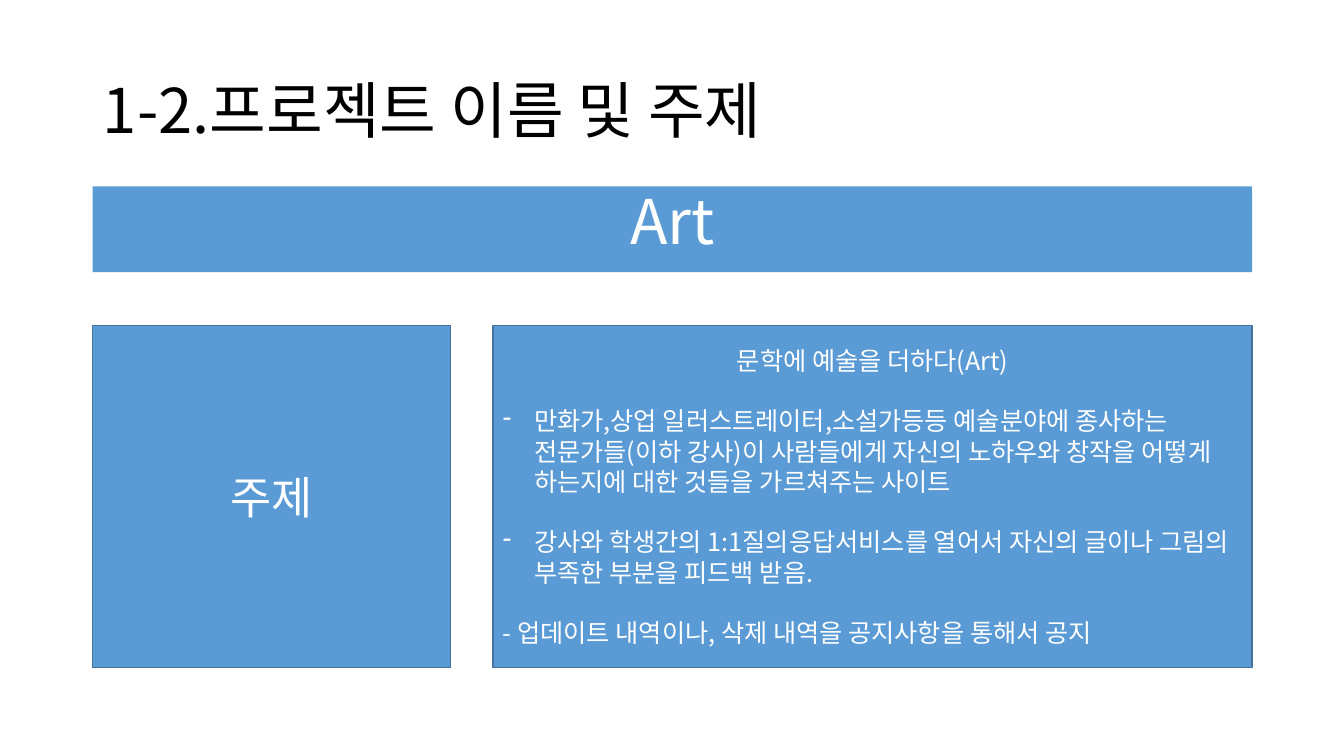
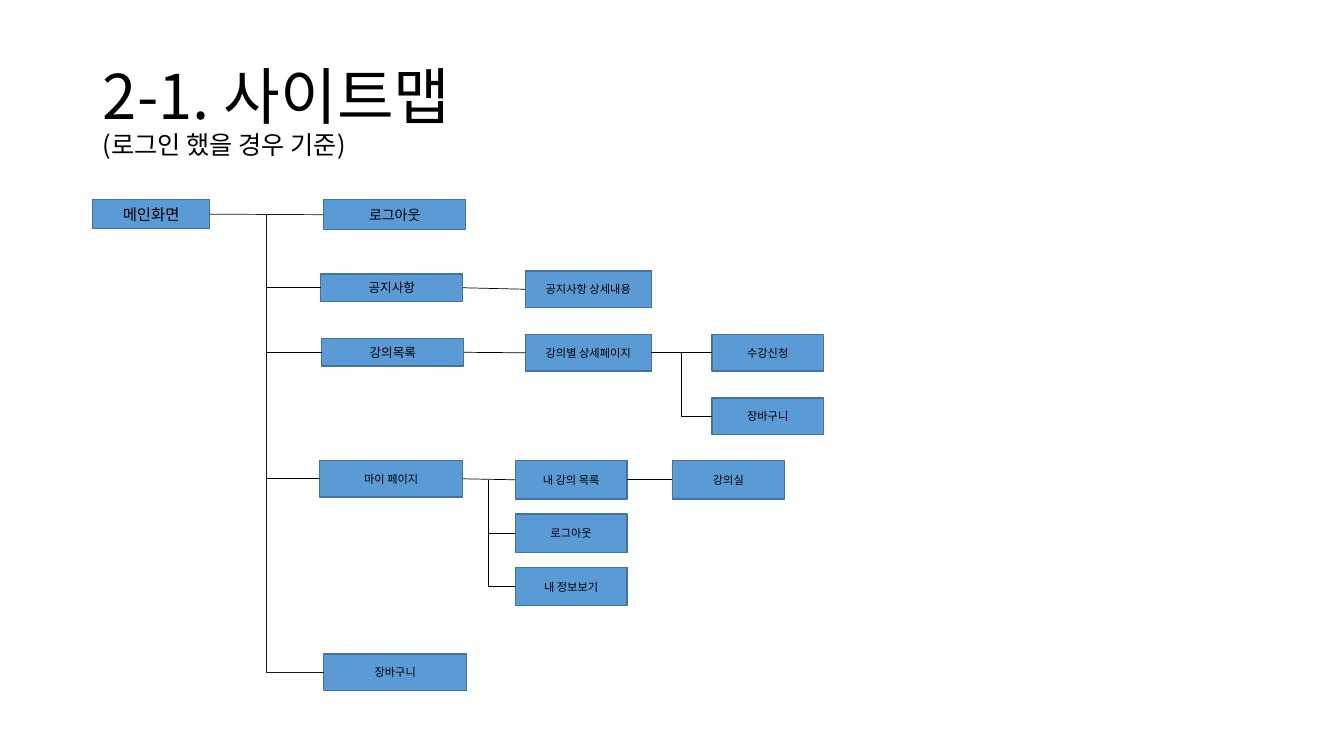
from dataclasses import dataclass

import pptx
import pptx.dml.color
import pptx.enum.shapes
import pptx.enum.text
import pptx.oxml.ns
import pptx.util
from lxml import etree

Inches = pptx.util.Inches
Pt = pptx.util.Pt
RGBColor = pptx.dml.color.RGBColor
ALIGN = pptx.enum.text.PP_ALIGN
ANCHOR = pptx.enum.text.MSO_ANCHOR
SHAPE = pptx.enum.shapes.MSO_SHAPE
CONNECTOR = pptx.enum.shapes.MSO_CONNECTOR
qn = pptx.oxml.ns.qn

FONT = "Noto Sans CJK KR"
BLUE = RGBColor(0x5B, 0x9B, 0xD5)
BLUE_EDGE = RGBColor(0x43, 0x73, 0x9E)
WHITE = RGBColor(0xFF, 0xFF, 0xFF)
BLACK = RGBColor(0, 0, 0)
INK = RGBColor(0x18, 0x17, 0x17)

MARGIN = 0.92
CONTENT_WIDTH = 11.5
LEFT_SITE, RIGHT_SITE = 1, 3


@dataclass(frozen=True)
class Box:
    text: str
    left: float
    top: float
    width: float
    height: float
    size: float = 8

    @property
    def middle(self) -> float:
        return self.top + self.height / 2


@dataclass(frozen=True)
class Link:
    start: str
    end: str
    color: RGBColor = BLACK


@dataclass(frozen=True)
class Trunk:
    """A vertical line at x, from the level of the first child to the last."""
    x: float
    children: tuple[str, ...]
    color: RGBColor = BLACK


def add_text(p, text: str, *, size: float, color: RGBColor = BLACK,
             align=ALIGN.LEFT, line_spacing: float | None = None,
             before: float = 0) -> None:
    p.alignment = align
    p.space_before = Pt(before)
    if line_spacing:
        p.line_spacing = line_spacing
    r = p.add_run()
    r.text = text
    r.font.size = Pt(size)
    r.font.color.rgb = color
    r.font.name = FONT
    etree.SubElement(r._r.get_or_add_rPr(), qn("a:ea"), typeface=FONT)


def add_dash(p, indent: float) -> None:
    """Give the paragraph a hanging dash bullet."""
    pPr = p._p.get_or_add_pPr()
    pPr.set("marL", str(Inches(indent)))
    pPr.set("indent", str(-Inches(indent)))
    etree.SubElement(pPr, qn("a:buFontTx"))
    etree.SubElement(pPr, qn("a:buChar"), char="-")


def add_titled_slide(prs, title: str, subtitle: str = ""):
    s = prs.slides.add_slide(prs.slide_layouts[5])
    sp = s.shapes.title
    sp.left, sp.top = Inches(MARGIN), Inches(0.4)
    sp.width, sp.height = Inches(CONTENT_WIDTH), Inches(1.45)
    tf = sp.text_frame
    tf.auto_size = pptx.enum.text.MSO_AUTO_SIZE.NONE
    tf.vertical_anchor = ANCHOR.MIDDLE
    p = tf.paragraphs[0]
    add_text(p, title, size=44, line_spacing=0.9)
    if subtitle:
        p.add_line_break()
        add_text(p, subtitle, size=18)
    return s


def add_box(s, box: Box, *, color: RGBColor = BLACK, edge: bool = True, **fmt):
    sp = s.shapes.add_shape(SHAPE.RECTANGLE, Inches(box.left), Inches(box.top),
                            Inches(box.width), Inches(box.height))
    sp.shadow.inherit = False
    sp.fill.solid()
    sp.fill.fore_color.rgb = BLUE
    if edge:
        sp.line.color.rgb = BLUE_EDGE
        sp.line.width = Pt(1)
    else:
        sp.line.fill.background()
    sp.text_frame.vertical_anchor = ANCHOR.MIDDLE
    add_text(sp.text_frame.paragraphs[0], box.text, size=box.size, color=color,
             align=ALIGN.CENTER, **fmt)
    return sp


def add_line(s, x1: float, y1: float, x2: float, y2: float,
             color: RGBColor = BLACK, kind=CONNECTOR.STRAIGHT):
    cxn = s.shapes.add_connector(kind, Inches(x1), Inches(y1), Inches(x2), Inches(y2))
    cxn.line.color.rgb = color
    cxn.line.width = Pt(0.5)
    etree.SubElement(cxn._element.spPr, qn("a:effectLst"))
    return cxn


def add_elbow(s, x1: float, y1: float, x2: float, y2: float, color: RGBColor) -> None:
    """Draw a line that runs down from the start, then right to the end."""
    mid_x, mid_y = (x1 + x2) / 2, (y1 + y2) / 2
    half_w, half_h = (x2 - x1) / 2, (y2 - y1) / 2
    # The bend is drawn flipped and on its side, then turned about its centre.
    cxn = add_line(s, mid_x + half_h, mid_y - half_w, mid_x - half_h, mid_y + half_w,
                   color, CONNECTOR.ELBOW)
    spPr = cxn._element.spPr
    spPr.find(qn("a:prstGeom")).set("prst", "bentConnector2")
    spPr.find(qn("a:xfrm")).set("rot", str(270 * 60000))


def build_topic_slide(prs) -> None:
    s = add_titled_slide(prs, "1-2.프로젝트 이름 및 주제")
    banner = add_box(s, Box("Art", MARGIN, 1.85, CONTENT_WIDTH, 0.85, 44), color=WHITE,
                     edge=False, line_spacing=0.9, before=10)
    banner.text_frame.vertical_anchor = ANCHOR.TOP
    add_box(s, Box("주제", MARGIN, 3.23, 3.55, 3.39, 32), color=WHITE)
    details = add_box(s, Box("문학에 예술을 더하다(Art)", 4.89, 3.23, 7.53, 3.39, 18),
                      color=WHITE)
    points = (
        ("만화가,상업 일러스트레이터,소설가등등 예술분야에 종사하는 전문가들(이하 강사)이 "
         "사람들에게 자신의 노하우와 창작을 어떻게 하는지에 대한 것들을 가르쳐주는 사이트", True),
        ("강사와 학생간의 1:1질의응답서비스를 열어서 자신의 글이나 그림의 부족한 부분을 "
         "피드백 받음.", True),
        ("- 업데이트 내역이나, 삭제 내역을 공지사항을 통해서 공지", False),
    )
    for text, dashed in points:
        p = details.text_frame.add_paragraph()
        add_text(p, text, size=18, color=WHITE, before=21.7)
        if dashed:
            add_dash(p, 0.31)


SITE_BOXES = {
    "main": Box("메인화면", MARGIN, 1.98, 1.16, 0.29, 11),
    "logout": Box("로그아웃", 3.21, 1.98, 1.41, 0.3, 10),
    "notices": Box("공지사항", 3.18, 2.72, 1.41, 0.27, 9),
    "courses": Box("강의목록", 3.19, 3.36, 1.41, 0.27, 9),
    "my_page": Box("마이 페이지", 3.17, 4.57, 1.42, 0.36),
    "cart": Box("장바구니", 3.21, 6.49, 1.42, 0.36),
    "notice_detail": Box("공지사항 상세내용", 5.21, 2.69, 1.25, 0.36),
    "course_detail": Box("강의별 상세페이지", 5.21, 3.32, 1.25, 0.36),
    "enroll": Box("수강신청", 7.06, 3.32, 1.11, 0.36),
    "course_cart": Box("장바구니", 7.06, 3.95, 1.11, 0.36),
    "my_courses": Box("내 강의 목록", 5.11, 4.57, 1.11, 0.38),
    "my_logout": Box("로그아웃", 5.11, 5.1, 1.11, 0.38),
    "my_info": Box("내 정보보기", 5.11, 5.63, 1.11, 0.38),
    "classroom": Box("강의실", 6.67, 4.57, 1.11, 0.38),
}
SITE_LINKS = (
    Link("main", "logout", INK),
    Link("notices", "notice_detail"),
    Link("courses", "course_detail"),
    Link("course_detail", "enroll"),
    Link("my_page", "my_courses"),
    Link("my_courses", "classroom"),
)
SITE_TRUNKS = (
    Trunk(2.64, ("logout", "notices", "courses", "my_page", "cart"), INK),
    Trunk(6.76, ("enroll", "course_cart")),
    Trunk(4.84, ("my_courses", "my_logout", "my_info")),
)


def build_sitemap_slide(prs) -> None:
    s = add_titled_slide(prs, "2-1. 사이트맵", "(로그인 했을 경우 기준)")
    shapes = {name: add_box(s, box) for name, box in SITE_BOXES.items()}
    for link in SITE_LINKS:
        cxn = add_line(s, 0, 0, 1, 1, link.color)
        cxn.begin_connect(shapes[link.start], RIGHT_SITE)
        cxn.end_connect(shapes[link.end], LEFT_SITE)
    for trunk in SITE_TRUNKS:
        first, *between, last = (SITE_BOXES[name] for name in trunk.children)
        add_elbow(s, trunk.x, first.middle, last.left, last.middle, trunk.color)
        for box in between:
            add_line(s, box.left, box.middle, trunk.x, box.middle)


def main() -> None:
    prs = pptx.Presentation()
    prs.slide_width, prs.slide_height = Inches(13.33), Inches(7.5)
    build_topic_slide(prs)
    build_sitemap_slide(prs)
    prs.save("out.pptx")


if __name__ == "__main__":
    main()
